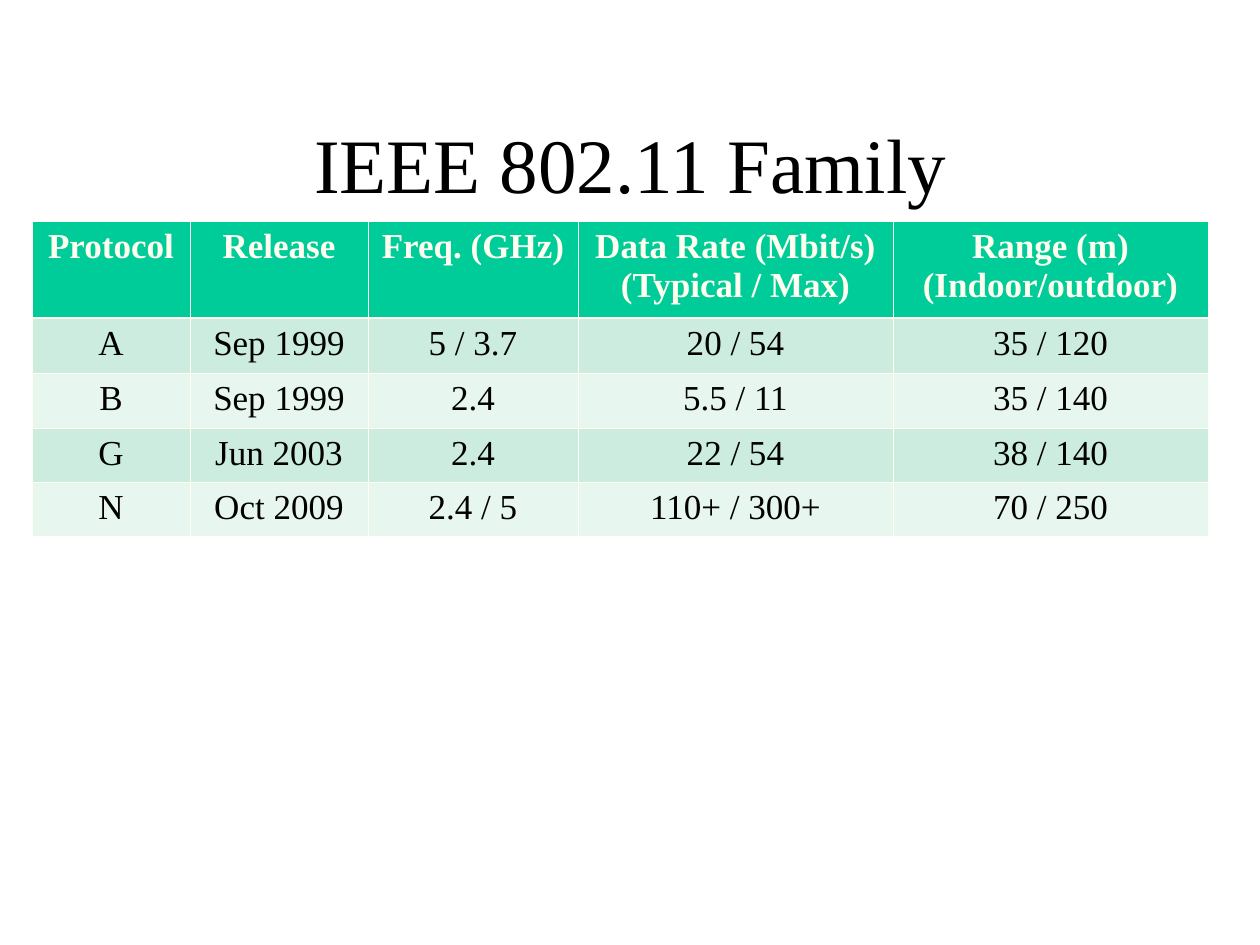
"""Build a slide with a table of the IEEE 802.11 protocol family."""
from lxml.etree import SubElement
from pptx import Presentation
from pptx.dml.color import RGBColor
from pptx.enum.text import MSO_ANCHOR, PP_ALIGN
from pptx.oxml.ns import qn
from pptx.util import Pt

TITLE = "IEEE 802.11 Family"
HEAD = ["Protocol", "Release", "Freq. (GHz)",
        "Data Rate (Mbit/s) (Typical / Max)", "Range (m) (Indoor/outdoor)"]
ROWS = [
    ["A", "Sep 1999", "5 / 3.7", "20 / 54", "35 / 120"],
    ["B", "Sep 1999", "2.4", "5.5 / 11", "35 / 140"],
    ["G", "Jun 2003", "2.4", "22 / 54", "38 / 140"],
    ["N", "Oct 2009", "2.4 / 5", "110+ / 300+", "70 / 250"],
]
WIDTHS = [158, 178, 210, 315, 315]
HEIGHTS = [97, 55, 55, 54, 55]
BLACK, CREAM, GREEN = "000000", "FFFFEF", "00CC99"
BANDS = ["CBECDE", "E7F6EF"]
THIN, THICK = 0.45, 1.47


def px(count):
    return round(count * 914400 / 126)


def color(code):
    return RGBColor.from_string(code)


def write(frame, text, size=20, tint=BLACK, bold=False):
    frame.text = text
    para = frame.paragraphs[0]
    para.alignment = PP_ALIGN.CENTER
    font = para.runs[0].font
    font.name, font.size, font.bold = "Times New Roman", Pt(size), bold
    font.color.rgb = color(tint)


def border(cell, top, bottom):
    props = cell._tc.get_or_add_tcPr()
    for side, width in zip("LRTB", (THIN, THIN, top, bottom)):
        line = SubElement(props, qn(f"a:ln{side}"), w=str(Pt(width)))
        fill = SubElement(line, qn("a:solidFill"))
        SubElement(fill, qn("a:srgbClr"), val=CREAM)


def main():
    deck = Presentation()
    deck.slide_width, deck.slide_height = px(1260), px(945)
    slide = deck.slides.add_slide(deck.slide_layouts[5])

    title = slide.shapes.title
    title.left, title.top = px(95), px(84)
    title.width, title.height = px(1071), px(158)
    title.text_frame.vertical_anchor = MSO_ANCHOR.MIDDLE
    write(title.text_frame, TITLE, size=44)

    grid = [HEAD] + ROWS
    table = slide.shapes.add_table(
        len(grid), len(HEAD), px(32), px(221),
        px(sum(WIDTHS)), px(sum(HEIGHTS))).table
    for col, width in zip(table.columns, WIDTHS):
        col.width = px(width)
    for row, height in zip(table.rows, HEIGHTS):
        row.height = px(height)

    for r, texts in enumerate(grid):
        head = r == 0
        for c, text in enumerate(texts):
            cell = table.cell(r, c)
            border(cell, THICK if r == 1 else THIN, THICK if head else THIN)
            cell.fill.solid()
            cell.fill.fore_color.rgb = color(GREEN if head else BANDS[(r - 1) % 2])
            write(cell.text_frame, text, tint=CREAM if head else BLACK, bold=head)

    deck.save("out.pptx")


if __name__ == "__main__":
    main()
